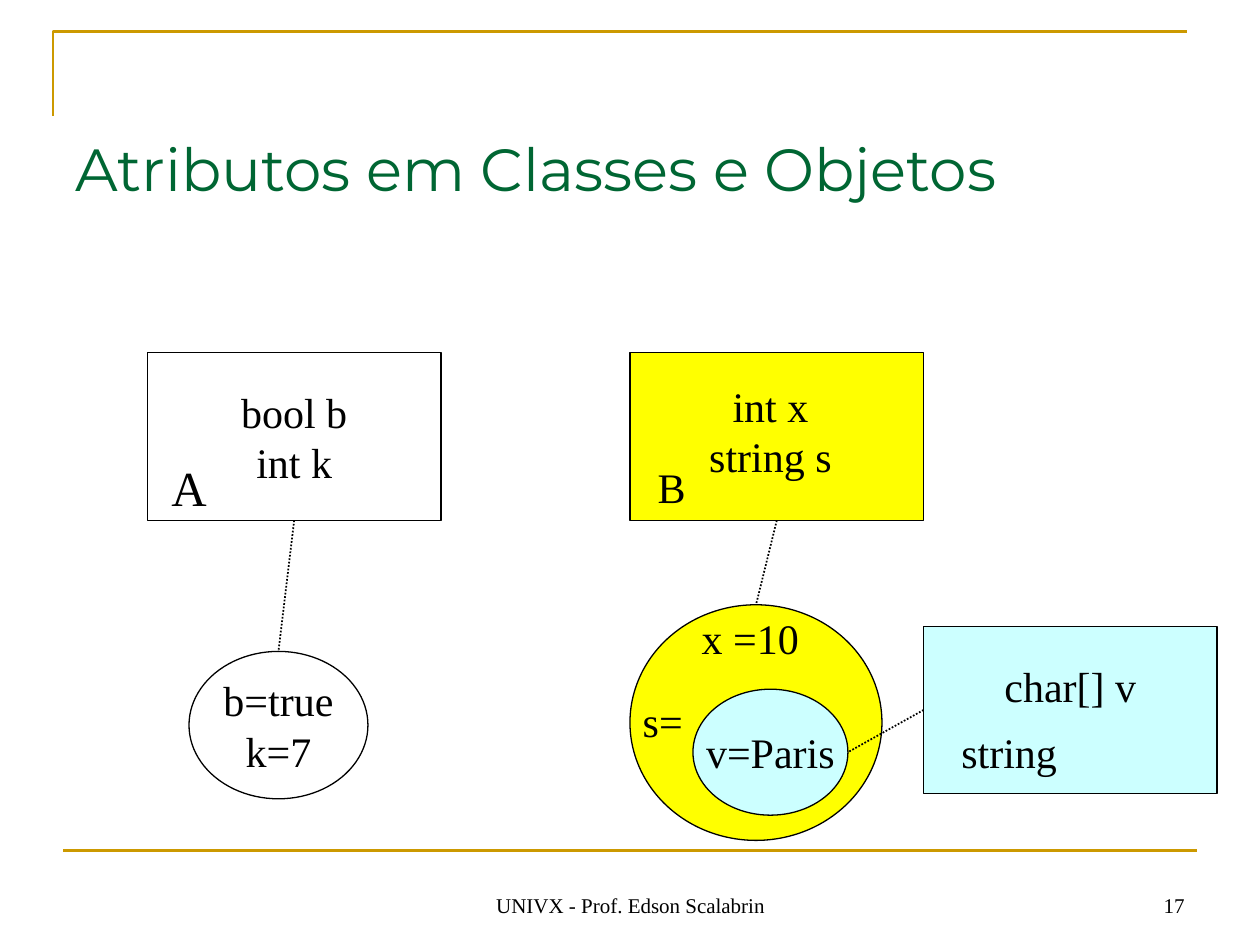
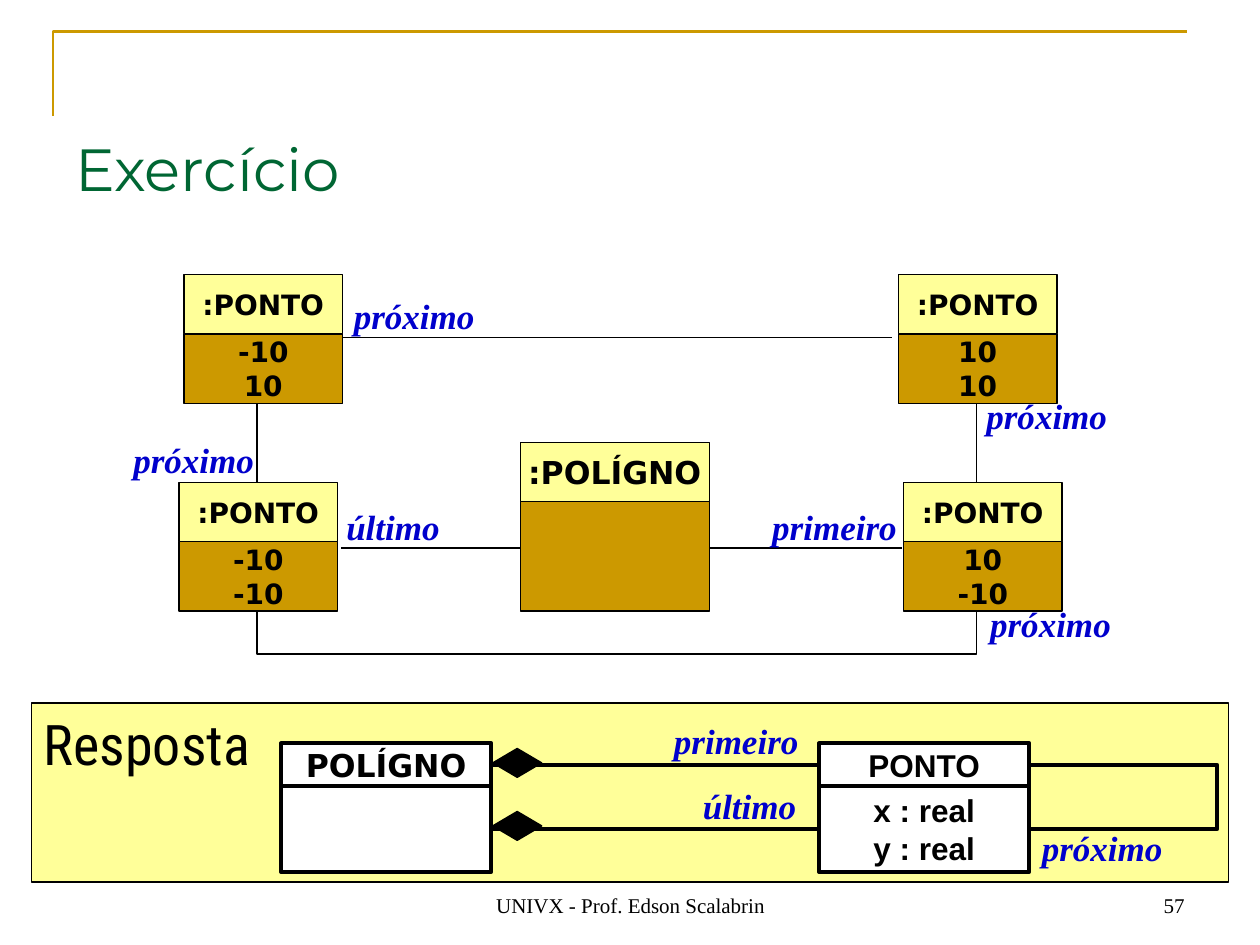
"""Build two slides on classes, objects and their links."""
from dataclasses import dataclass

from lxml.etree import SubElement
from pptx import Presentation
from pptx.dml.color import RGBColor as Rgb
from pptx.enum.dml import MSO_LINE as Dash
from pptx.enum.shapes import MSO_CONNECTOR as Link, MSO_SHAPE as Kind
from pptx.enum.text import MSO_ANCHOR as Anchor, PP_ALIGN as Align
from pptx.oxml.ns import qn
from pptx.util import Inches, Pt


@dataclass(frozen=True)
class Theme:
    """Colours, line widths and type styles (font, size, bold, italic, colour)."""
    ink: str = "000000"
    white: str = "FFFFFF"
    gold: str = "CC9900"
    cream: str = "FFFF99"
    yellow: str = "FFFF00"
    aqua: str = "CCFFFF"
    thin: float = 0.75
    dots: float = 1
    rule: float = 1.5
    thick: float = 2.25
    title: tuple = ("Montserrat", 34, False, False, "006633")
    foot: tuple = ("Times New Roman", 12, False, False, "000000")
    body: tuple = ("Times New Roman", 24, False, False, "000000")
    large: tuple = ("Times New Roman", 28, False, False, "000000")
    role: tuple = ("Times New Roman", 20, True, True, "0000CC")
    point: tuple = ("DejaVu Sans", 16, True, False, "000000")
    poly: tuple = ("DejaVu Sans", 18, True, False, "000000")
    model: tuple = ("Arial", 18, True, False, "000000")
    answer: tuple = ("Roboto Condensed", 32, False, False, "000000")


T = Theme()
FOOT = "UNIVX - Prof. Edson Scalabrin"

PARTS = {
    "B obj": (Kind.OVAL, (5, 4.8, 2, 1.87), T.yellow, "", 0.05),
    "A obj": (Kind.OVAL, (1.5, 5.17, 1.42, 1.17), T.white, "b=true\nk=7", 0.05),
    "A": (Kind.RECTANGLE, (1.17, 2.8, 2.33, 1.33), T.white, "bool b\nint k", 0.05),
    "B": (Kind.RECTANGLE, (5, 2.8, 2.33, 1.33), T.yellow, "", 0.05),
    "v obj": (Kind.OVAL, (5.5, 5.47, 1.23, 1), T.aqua, "v=Paris", 0.05),
    "string": (Kind.RECTANGLE, (7.33, 4.97, 2.33, 1.33), T.aqua, "char[] v", 0.43),
}
NOTES = [
    ("int x\nstring s", (5.53, 2.97, 1.17, 0.9), T.body),
    ("x =10", (5.33, 4.81, 1.25, 0.5), T.body),
    ("s=", (5, 5.47, 0.52, 0.5), T.body),
    ("A", (1.26, 3.58, 0.48, 0.57), T.large),
    ("B", (5.12, 3.61, 0.42, 0.5), T.body),
    ("string", (7.53, 5.72, 0.96, 0.5), T.body),
]

POINTS = [
    (1.46, 2.18, "-10\n10"), (7.13, 2.18, "10\n10"),
    (7.17, 3.83, "10\n-10"), (1.42, 3.83, "-10\n-10"),
]
ROLES = [
    ("primeiro", 5.25, 5.66), ("último", 5.48, 6.18), ("próximo", 8.17, 6.51),
    ("próximo", 2.71, 2.29), ("próximo", 7.73, 3.08), ("primeiro", 6.03, 3.96),
    ("último", 2.65, 3.96), ("próximo", 7.76, 4.73), ("próximo", 0.96, 3.43),
]
WIDTHS = {"primeiro": 1.19, "último": 0.94, "próximo": 1.16}
LINES = [
    ((2.71, 2.68), (7.08, 2.68)), ((7.16, 4.35), (5.56, 4.35)),
    ((2.71, 4.35), (4.15, 4.35)), ((7.75, 3.18), (7.75, 3.85)),
    ((2.04, 3.18), (2.04, 3.85)),
]
MODEL = [
    (2.23, "POLÍGNO", "", T.poly),
    (6.5, "PONTO", "x : real\ny : real", T.model),
]


def assign(obj, **vals):
    for key, val in vals.items():
        setattr(obj, key, val)


def write(shape, text, style, align=Align.CENTER, anchor=Anchor.MIDDLE,
          wrap=False, low=0.05):
    frame = shape.text_frame
    assign(frame, text=text, word_wrap=wrap, vertical_anchor=anchor,
           margin_left=Inches(0.1), margin_right=Inches(0.1),
           margin_top=Inches(0.05), margin_bottom=Inches(low))
    name, size, bold, slant, tint = style
    for para in frame.paragraphs:
        para.alignment = align
        for run in para.runs:
            assign(run.font, name=name, size=Pt(size), bold=bold, italic=slant)
            run.font.color.rgb = Rgb.from_string(tint)


def label(slide, text, at, style, **form):
    write(slide.shapes.add_textbox(*map(Inches, at)), text, style, **form)


def stroke(shape, tint, width):
    shape.line.color.rgb = Rgb.from_string(tint)
    shape.line.width = Pt(width)


def box(slide, at, fill, text="", style=T.body, kind=Kind.RECTANGLE,
        width=T.thin, **form):
    shape = slide.shapes.add_shape(kind, *map(Inches, at))
    shape.shadow.inherit = False
    shape.fill.solid()
    shape.fill.fore_color.rgb = Rgb.from_string(fill)
    stroke(shape, T.ink, width)
    if text:
        write(shape, text, style, **form)
    return shape


def line(slide, start=(0, 0), end=(0, 0), tint=T.ink, width=T.thin,
         tail=None, head=None, dash=None):
    link = slide.shapes.add_connector(Link.STRAIGHT, *map(Inches, start + end))
    if tail:
        link.begin_connect(*tail)
    if head:
        link.end_connect(*head)
    stroke(link, tint, width)
    if dash:
        link.line.dash_style = dash
    SubElement(link._element.spPr, qn("a:effectLst"))


def trail(slide, spots, tint=T.ink, width=T.thin):
    first, *rest = [tuple(map(Inches, spot)) for spot in spots]
    pen = slide.shapes.build_freeform(*first)
    pen.add_line_segments(rest, close=False)
    shape = pen.convert_to_shape()
    shape.shadow.inherit = False
    shape.fill.background()
    stroke(shape, tint, width)


def start(deck, title, page):
    slide = deck.slides.add_slide(deck.slide_layouts[6])
    trail(slide, [(0.42, 0.92), (0.42, 0.25), (9.42, 0.25)], T.gold, T.rule)
    low = {"anchor": Anchor.BOTTOM, "wrap": True}
    label(slide, FOOT, (3.42, 6.83, 3.17, 0.5), T.foot, **low)
    label(slide, page, (7.17, 6.83, 2.33, 0.5), T.foot, align=Align.RIGHT, **low)
    label(slide, title, (0.5, 1, 9, 0.56), T.title, align=Align.LEFT,
          anchor=Anchor.TOP, wrap=True)
    return slide


def fields(deck):
    slide = start(deck, "Atributos em Classes e Objetos", "17")
    line(slide, (0.5, 6.75), (9.5, 6.75), T.gold, T.rule)
    made = {name: box(slide, at, fill, text, kind=kind, low=low)
            for name, (kind, at, fill, text, low) in PARTS.items()}
    for name in "AB":
        line(slide, tail=(made[name], 2), head=(made[name + " obj"], 0),
             width=T.dots, dash=Dash.ROUND_DOT)
    line(slide, end=(6.73, 5.97), tail=(made["string"], 1),
         width=T.dots, dash=Dash.ROUND_DOT)
    for text, at, style in NOTES:
        label(slide, text, at, style)


def card(slide, left, top, wide, tall, name, text, fills, style, width=T.thin):
    head, body = tall
    low = box(slide, (left, top + head, wide, body), fills[1], text, style,
              width=width)
    high = box(slide, (left, top, wide, head), fills[0], name, style, width=width)
    return high, low


def task(deck):
    slide = start(deck, "Exercício", "57")
    box(slide, (0.25, 5.58, 9.5, 1.42), T.cream, "Resposta", T.answer,
        align=Align.LEFT, anchor=Anchor.TOP, wrap=True)
    whole, part = [
        card(slide, left, 5.9, 1.67, (0.34, 0.68), name, text,
             (T.white, T.white), style, T.thick)
        for left, name, text, style in MODEL]
    for near, far in zip(whole, part):
        line(slide, tail=(near, 3), head=(far, 1), width=T.thick)
    trail(slide, [(8.17, 6.58), (9.66, 6.58), (9.66, 6.07), (8.17, 6.07)],
          width=T.thick)
    trail(slide, [(7.75, 4.85), (7.75, 5.19), (2.04, 5.19), (2.04, 4.85)])
    for ends in LINES:
        line(slide, *ends)
    for text, left, top in ROLES:
        label(slide, text, (left, top, WIDTHS[text], 0.44), T.role,
              align=Align.LEFT, anchor=Anchor.TOP)
    fills = T.cream, T.gold
    for left, top, text in POINTS:
        card(slide, left, top, 1.26, (0.47, 0.55), ":PONTO", text, fills, T.point)
    card(slide, 4.13, 3.51, 1.5, (0.47, 0.87), ":POLÍGNO", "", fills, T.poly)
    for top in (6.44, 5.94):
        box(slide, (3.91, top, 0.39, 0.23), T.ink, kind=Kind.DIAMOND)


def main():
    deck = Presentation()
    assign(deck, slide_width=Inches(10), slide_height=Inches(7.5))
    fields(deck)
    task(deck)
    deck.save("out.pptx")


if __name__ == "__main__":
    main()
